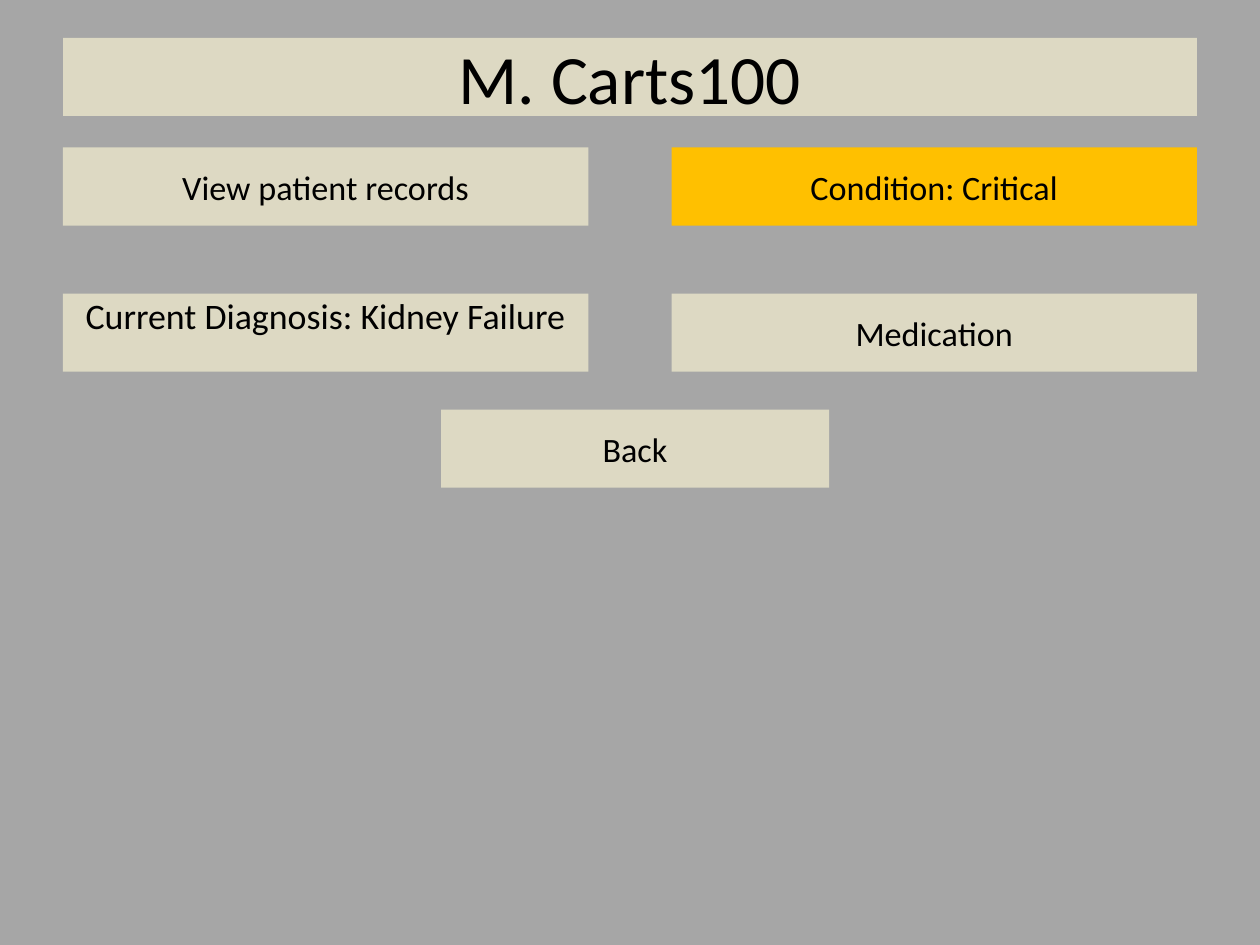
from pptx import Presentation
from pptx.dml.color import RGBColor
from pptx.enum.shapes import MSO_SHAPE
from pptx.enum.text import MSO_ANCHOR, MSO_AUTO_SIZE, PP_ALIGN
from pptx.util import Inches, Pt

WIDTH, HEIGHT = 10, 7.5
MARGIN, GUTTER, BAR_HEIGHT = 0.5, 0.66, 0.62
COLUMN_WIDTH = (WIDTH - 2 * MARGIN - GUTTER) / 2
COLUMNS = [MARGIN, MARGIN + COLUMN_WIDTH + GUTTER]
ROWS = [1.17, 2.33]


def color(value):
    return RGBColor.from_string(value)


class PatientScreen:
    font = "Calibri"
    ink = "000000"
    panel = "DDD9C3"
    alert = "FFC000"
    backdrop = "A6A6A6"

    def __init__(self, deck):
        self.slide = deck.slides.add_slide(deck.slide_layouts[5])
        self.slide.background.fill.solid()
        self.slide.background.fill.fore_color.rgb = color(self.backdrop)

    def dress(self, bar, text, size, fill, anchor):
        bar.fill.solid()
        bar.fill.fore_color.rgb = color(fill)
        bar.line.fill.background()
        frame = bar.text_frame
        frame.text = text
        frame.word_wrap = True
        frame.auto_size = MSO_AUTO_SIZE.NONE
        frame.vertical_anchor = anchor
        frame.margin_top = frame.margin_bottom = 0
        line = frame.paragraphs[0]
        line.alignment = PP_ALIGN.CENTER
        line.font.name = self.font
        line.font.size = Pt(size)
        line.font.color.rgb = color(self.ink)

    def title(self, text, top):
        heading = self.slide.shapes.title
        heading.left, heading.top = Inches(MARGIN), Inches(top)
        heading.width, heading.height = Inches(WIDTH - 2 * MARGIN), Inches(BAR_HEIGHT)
        self.dress(heading, text, 39.6, self.panel, MSO_ANCHOR.MIDDLE)

    def button(self, text, left, top, width=COLUMN_WIDTH, size=19.5,
               fill=panel, anchor=MSO_ANCHOR.MIDDLE):
        bar = self.slide.shapes.add_shape(
            MSO_SHAPE.RECTANGLE, Inches(left), Inches(top), Inches(width), Inches(BAR_HEIGHT))
        bar.shadow.inherit = False
        self.dress(bar, text, size, fill, anchor)


def main():
    deck = Presentation()
    deck.slide_width, deck.slide_height = Inches(WIDTH), Inches(HEIGHT)
    screen = PatientScreen(deck)
    screen.title("M. Carts100", 0.3)
    screen.button("View patient records", COLUMNS[0], ROWS[0])
    screen.button("Current Diagnosis: Kidney Failure", COLUMNS[0], ROWS[1],
                  size=20.5, anchor=MSO_ANCHOR.TOP)
    screen.button("Condition: Critical", COLUMNS[1], ROWS[0], fill=screen.alert)
    screen.button("Medication", COLUMNS[1], ROWS[1])
    screen.button("Back", 3.5, 3.25, width=3.08)
    deck.save("out.pptx")


if __name__ == "__main__":
    main()
